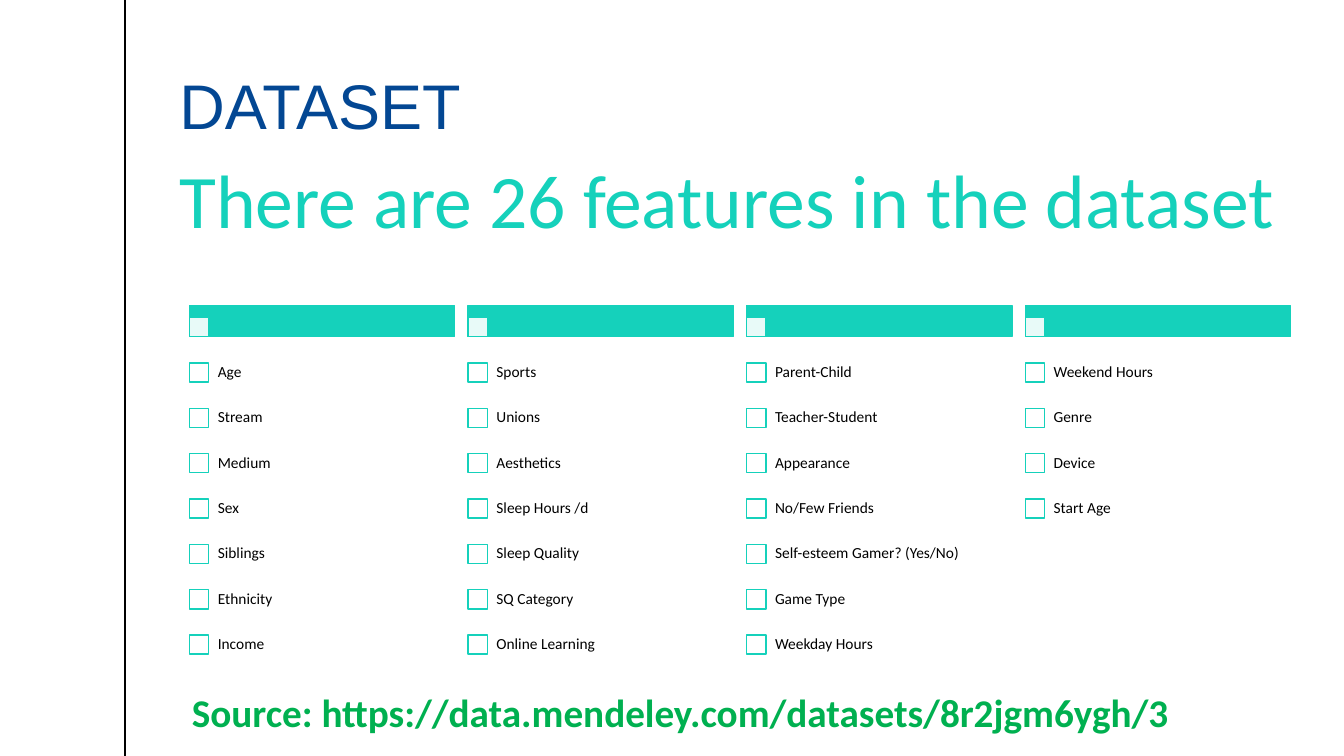
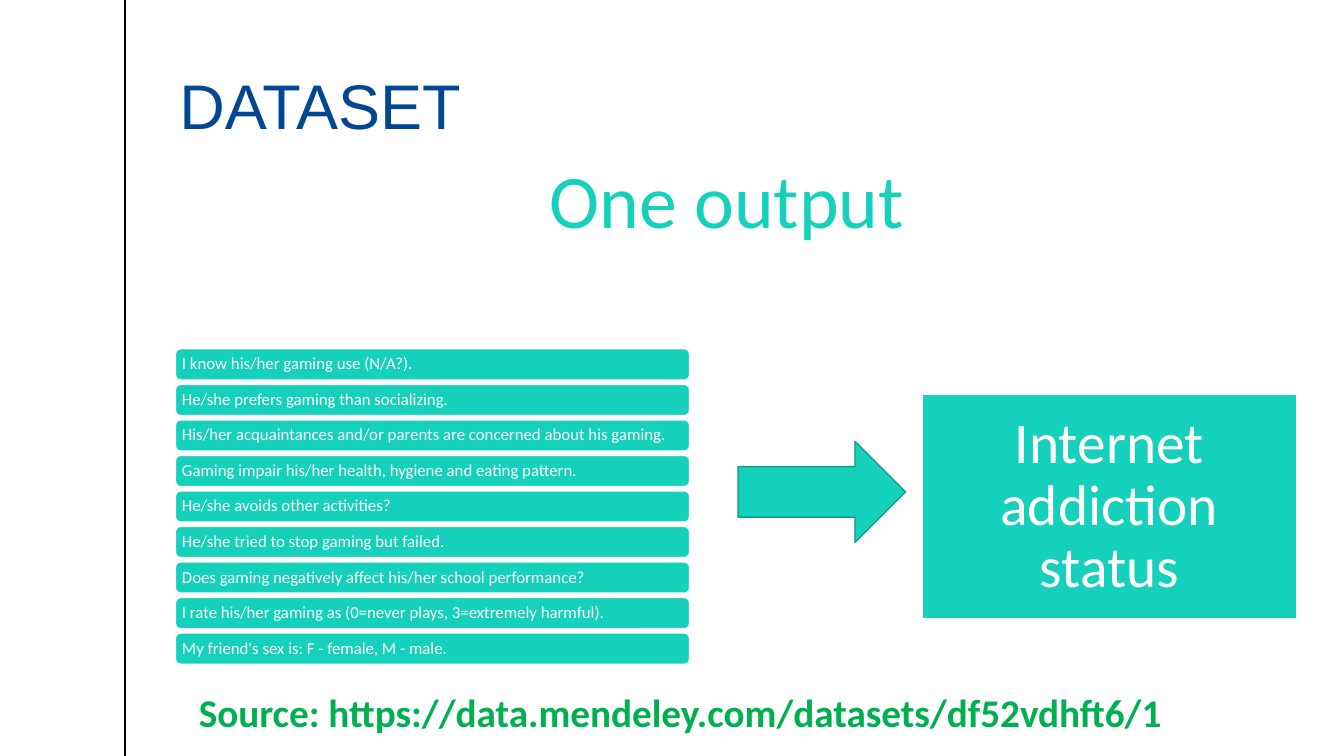
from lxml import etree
from pptx import Presentation
from pptx.dml.color import RGBColor
from pptx.enum.shapes import MSO_CONNECTOR, MSO_SHAPE
from pptx.enum.text import MSO_ANCHOR, MSO_AUTO_SIZE, PP_ALIGN
from pptx.oxml.ns import qn
from pptx.util import Inches, Pt

RECT, ROUND, ARROW = MSO_SHAPE.RECTANGLE, MSO_SHAPE.ROUNDED_RECTANGLE, MSO_SHAPE.RIGHT_ARROW
LEFT, CENTER = PP_ALIGN.LEFT, PP_ALIGN.CENTER
TOP, MIDDLE, BOTTOM = MSO_ANCHOR.TOP, MSO_ANCHOR.MIDDLE, MSO_ANCHOR.BOTTOM

TEAL = RGBColor(0x15, 0xD1, 0xBB)
DARK_TEAL = RGBColor(0x10, 0x9B, 0x8A)
NAVY = RGBColor(0x03, 0x47, 0x93)
GREEN = RGBColor(0x00, 0xB0, 0x50)
BLACK = RGBColor(0x00, 0x00, 0x00)
WHITE = RGBColor(0xFF, 0xFF, 0xFF)

WIDTH, HEIGHT = 13.33, 7.5
RULE_X = 1.24
TITLE_BOX = (1.78, 0.37, 11.08, 1.1)
HEADLINE_BOX = (1.62, 1.47, 11.18, 1.01)
SOURCE_BOX = (1.74, 6.78, 10.01, 0.57)

FEATURES = [
    ["Age", "Stream", "Medium", "Sex", "Siblings", "Ethnicity", "Income"],
    ["Sports", "Unions", "Aesthetics", "Sleep Hours /d", "Sleep Quality",
     "SQ Category", "Online Learning"],
    ["Parent-Child", "Teacher-Student", "Appearance", "No/Few Friends",
     "Self-esteem Gamer? (Yes/No)", "Game Type", "Weekday Hours"],
    ["Weekend Hours", "Genre", "Device", "Start Age"],
]
QUESTIONS = [
    "I know his/her gaming use (N/A?).",
    "He/she prefers gaming than socializing.",
    "His/her acquaintances and/or parents are concerned about his gaming.",
    "Gaming impair his/her health, hygiene and eating pattern.",
    "He/she avoids other activities?",
    "He/she tried to stop gaming but failed.",
    "Does gaming negatively affect his/her school performance?",
    "I rate his/her gaming as (0=never plays, 3=extremely harmful).",
    "My friend's sex is: F - female, M - male.",
]


def write(shape, text, size, color, font="Calibri", bold=False, align=LEFT,
          anchor=TOP, inset=(0.1, 0.05), spacing=1.0, wrap=True):
    """Put one formatted paragraph into a shape."""
    tf = shape.text_frame
    tf.auto_size = MSO_AUTO_SIZE.NONE
    tf.word_wrap = wrap
    tf.vertical_anchor = anchor
    tf.margin_left = tf.margin_right = Inches(inset[0])
    tf.margin_top = tf.margin_bottom = Inches(inset[1])
    p = tf.paragraphs[0]
    p.alignment = align
    p.line_spacing = spacing
    r = p.add_run()
    r.text = text
    r.font.name, r.font.size, r.font.bold = font, Pt(size), bold
    r.font.color.rgb = color


def add_text(s, box, text, size, color, **fmt):
    """Add a text box holding one paragraph."""
    write(s.shapes.add_textbox(*map(Inches, box)), text, size, color, **fmt)


def add_block(s, kind, box, fill=TEAL, line=TEAL, alpha=None):
    """Add a filled and outlined preset shape."""
    sp = s.shapes.add_shape(kind, *map(Inches, box))
    sp.shadow.inherit = False
    sp.fill.solid()
    sp.fill.fore_color.rgb = fill
    sp.line.color.rgb = line
    sp.line.width = Pt(1)
    if alpha is not None:
        color = sp.element.spPr.find(qn("a:solidFill")).find(qn("a:srgbClr"))
        etree.SubElement(color, qn("a:alpha")).set("val", str(alpha * 1000))
    return sp


def set_up_layout(prs, layout):
    """Place the title and the vertical rule on the shared layout."""
    title = layout.placeholders[0]
    title.left, title.top, title.width, title.height = map(Inches, TITLE_BOX)
    s = prs.slides.add_slide(layout)
    rule = s.shapes.add_connector(MSO_CONNECTOR.STRAIGHT, Inches(RULE_X), 0,
                                  Inches(RULE_X), Inches(HEIGHT))
    rule.line.color.rgb = BLACK
    rule.line.width = Pt(1.5)
    etree.SubElement(rule.element.spPr, qn("a:effectLst"))
    layout.shapes.element.append(rule.element)
    return s


def add_frame(s, headline, source):
    """Fill the title, headline and source line of a slide."""
    write(s.shapes.title, "DATASET", 45, NAVY, font="Arial", anchor=BOTTOM,
          inset=(0, 0.05), spacing=0.9)
    add_text(s, HEADLINE_BOX, headline, 54, TEAL, align=CENTER, wrap=False)
    add_text(s, SOURCE_BOX, f"Source: https://data.mendeley.com/datasets/{source}",
             28, GREEN, bold=True, align=CENTER, wrap=False)


def add_checklist(s, box, items, row=0.45, check=0.19, header=0.31, gap=0.13):
    """Draw a header bar with a column of ticked-off items below it."""
    x, y, w, _ = box
    add_block(s, RECT, (x, y, w, header))
    add_block(s, RECT, (x, y + header - check, check, check), WHITE, alpha=90)
    for i, item in enumerate(items):
        top = y + header + gap + i * row
        add_block(s, RECT, (x, top + (row - check) / 2, check, check), WHITE)
        add_text(s, (x + check, top, w - check, row), item, 11, BLACK,
                 anchor=MIDDLE, inset=(0.09, 0.09), spacing=0.9)


def add_feature_grid(s, box, columns, col_w=2.63):
    """Spread checklists evenly across a box."""
    x, y, w, h = box
    pitch = (w - col_w) / (len(columns) - 1)
    for i, items in enumerate(columns):
        add_checklist(s, (x + i * pitch, y, col_w, h), items)


def add_question_list(s, box, questions, bar=0.31):
    """Stack rounded question bars evenly in a box."""
    x, y, w, h = box
    pitch = (h - bar) / (len(questions) - 1)
    for i, question in enumerate(questions):
        sp = add_block(s, ROUND, (x, y + i * pitch, w, bar), line=WHITE)
        write(sp, question, 12, WHITE, anchor=MIDDLE, inset=(0.05, 0.05), spacing=0.9)


def add_outcome(s, box, text):
    """Draw an arrow that leads to the outcome block."""
    x, y, w, h = box
    block_w = 0.67 * w
    sp = add_block(s, RECT, (x + w - block_w, y, block_w, h), line=WHITE)
    write(sp, text, 41, WHITE, align=CENTER, anchor=MIDDLE, inset=(0.17, 0.17), spacing=0.9)
    add_block(s, ARROW, (x, y + 0.21 * h, 0.3 * w, 0.45 * h), line=DARK_TEAL)


def main():
    """Build and save the presentation."""
    prs = Presentation()
    prs.slide_width, prs.slide_height = Inches(WIDTH), Inches(HEIGHT)
    layout = prs.slide_layouts[5]

    s = set_up_layout(prs, layout)
    add_frame(s, "There are 26 features in the dataset", "8r2jgm6ygh/3")
    add_feature_grid(s, (1.88, 3.03, 10.92, 3.59), FEATURES)

    s = prs.slides.add_slide(layout)
    add_frame(s, "One output", "df52vdhft6/1")
    add_outcome(s, (7.32, 3.91, 5.54, 2.23), "Internet addiction status")
    add_question_list(s, (1.74, 3.46, 5.1, 3.13), QUESTIONS)

    prs.save("out.pptx")


if __name__ == "__main__":
    main()
